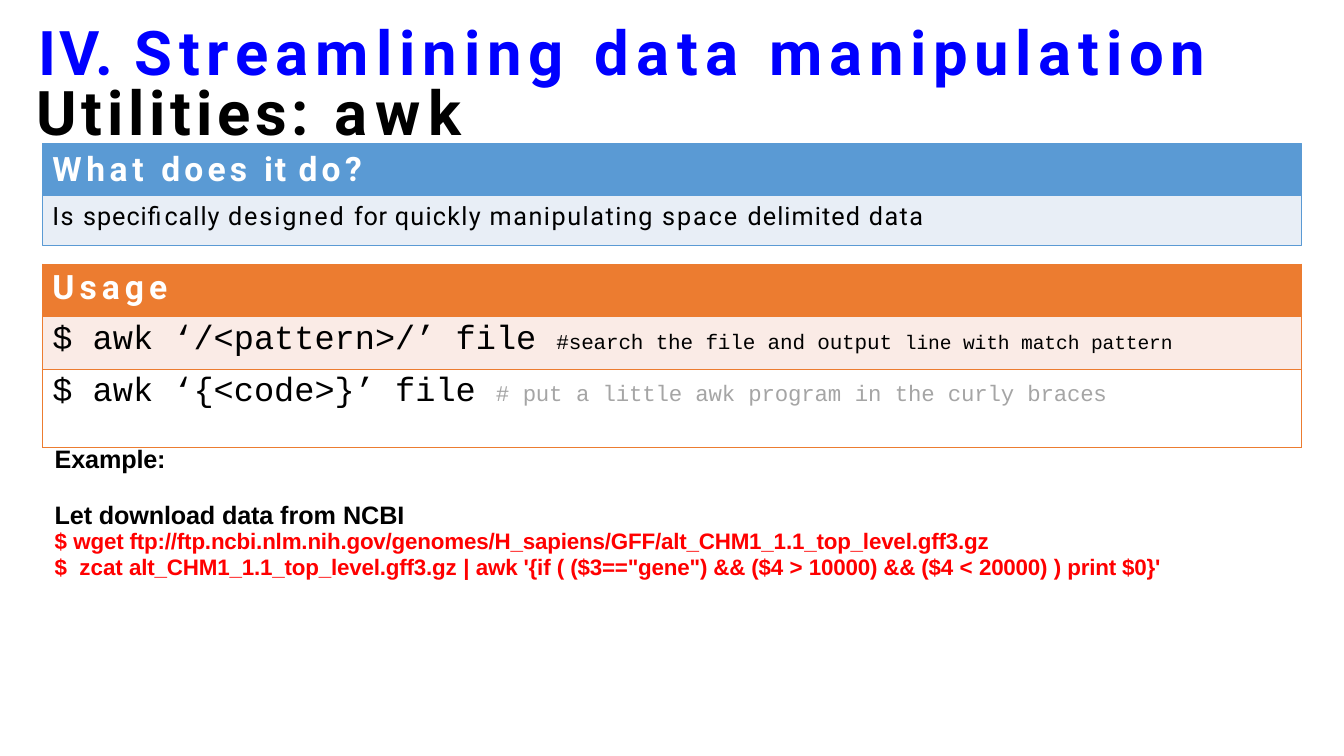
from lxml import etree
from pptx import Presentation
from pptx import util as u
from pptx.dml.color import RGBColor
from pptx.enum import shapes, text
from pptx.oxml import ns

COLORS = {
    "title": "0000FF", "text": "000000", "white": "FFFFFF", "blue": "5A9AD4",
    "pale_blue": "E8EEF6", "orange": "EC7C30", "pale_orange": "FAEBE6",
    "gray": "A5A5A5", "command": "FF0000",
}


def color(name):
    return RGBColor.from_string(COLORS[name])


def write(paragraph, runs, size, font, ink, bold=False, indent=0.03, before=0):
    paragraph.alignment = text.PP_ALIGN.LEFT
    paragraph.space_before = u.Pt(before)
    properties = paragraph._p.get_or_add_pPr()
    properties.set("marL", str(u.Cm(indent)))
    properties.set("indent", "0")
    for words, spacing, *own_style in runs:
        run_size, run_ink = own_style or (size, ink)
        run = paragraph.add_run()
        run.text = words
        run.font.size = u.Pt(run_size)
        run.font.name = font
        run.font.bold = bold
        run.font.color.rgb = color(run_ink)
        run._r.get_or_add_rPr().set("spc", str(round(spacing * 100)))


presentation = Presentation()
presentation.slide_width = u.Cm(33.87)
presentation.slide_height = u.Cm(19.05)
slide = presentation.slides.add_slide(presentation.slide_layouts[6])

LEFT, WIDTH = 1.07, 31.73

headings = [
    (0.89, 1.83, 11.58, "text", [("Utilities: ", 3.4), ("awk", 5.8)]),
    (0.94, 0.33, 30.61, "title", [("IV. ", 1.9), ("Streamlining ", 5), ("data ", 5.5), ("manipulation", 4.8)]),
]
purpose_bands = [
    (3.61, 1.33, "blue", 24, "white", True,
     [("What ", 3.3), ("does ", 3), ("it ", 1.4), ("do?", 3.1)]),
    (4.94, 1.25, "pale_blue", 18, "text", False,
     [("Is ", 1.1), ("specifically ", 0.7), ("designed ", 1.4), ("for ", 0.5), ("quickly ", 0.9),
      ("manipulating ", 1.1), ("space ", 1.4), ("delimited ", 0.8), ("data", 1.1)]),
]
usage_rows = [
    (1.32, "orange", "Roboto", "white", True, [("Usage", 3.6)]),
    (1.33, "pale_orange", "Courier New", "text", False,
     [("$ awk ‘/<pattern>/’ file ", 0), ("#search the file and output ", -0.1, 15, "text"),
      ("line with match pattern", -0.1, 14, "text")]),
    (1.98, None, "Courier New", "text", False,
     [("$ awk ‘{<code>}’ file ", 0),
      ("# ", 0, 16, "gray"), ("put", -0.1, 16, "gray"), (" a", 0, 16, "gray"),
      (" little awk program", -0.1, 16, "gray"), (" in", 0, 16, "gray"),
      (" the curly braces", -0.1, 16, "gray")]),
]
example_lines = [
    (None, 1, 18, "text", [("Example:", -0.1)]),
    (21, 19, 18, "text", [("Let download data ", -0.1), ("from ", 0), ("NCBI", -0.1)]),
    (18, 0, 16, "command",
     [("$ ", 0), ("wget ftp://ftp.ncbi.nlm.nih.gov/genomes/H_sapiens/GFF/alt_CHM1_1.1_top_level.gff3.gz", -0.1)]),
    (18.6, 0, 16, "command",
     [("$", 0), (" ", 4.4), ("zcat ", 0), ("alt_CHM1_1.1_top_level.gff3.gz ", -0.1), ("| ", 0),
      ("awk '{if ", -0.1), ("(", 0), (" ($3==\"gene\") && ($4 ", -0.1), ("> ", 0),
      ("10000) && ($4", -0.1), (" < ", 0), ("20000) ", -0.1), (")", 0), (" print $0}'", -0.1)]),
]

for top, height, fill, size, ink, bold, runs in purpose_bands:
    band = slide.shapes.add_shape(shapes.MSO_SHAPE.RECTANGLE, u.Cm(LEFT), u.Cm(top), u.Cm(WIDTH), u.Cm(height))
    band.shadow.inherit = False
    band.fill.solid()
    band.fill.fore_color.rgb = color(fill)
    band.line.fill.background()
    frame = band.text_frame
    frame.word_wrap = True
    frame.vertical_anchor = text.MSO_ANCHOR.TOP
    frame.margin_left = frame.margin_right = frame.margin_bottom = 0
    frame.margin_top = u.Cm(0.12)
    write(frame.paragraphs[0], runs, size, "Roboto", ink, bold, indent=0.25, before=3.5)

border = slide.shapes.add_shape(shapes.MSO_SHAPE.RECTANGLE, u.Cm(LEFT), u.Cm(3.62), u.Cm(WIDTH), u.Cm(2.56))
border.shadow.inherit = False
border.fill.background()
border.line.color.rgb = color("blue")
border.line.width = u.Pt(0.5)

table = slide.shapes.add_table(3, 1, u.Cm(LEFT), u.Cm(6.65), u.Cm(WIDTH), u.Cm(4.63)).table
table.first_row = table.horz_banding = False
table.columns[0].width = u.Cm(WIDTH)
for index, (height, fill, font, ink, bold, runs) in enumerate(usage_rows):
    table.rows[index].height = u.Cm(height)
    cell = table.cell(index, 0)
    cell.margin_left = cell.margin_right = cell.margin_bottom = 0
    cell.margin_top = u.Cm(0.12)
    write(cell.text_frame.paragraphs[0], runs, 24, font, ink, bold, indent=0.25, before=3.4)
    properties = cell._tc.get_or_add_tcPr()
    for side in ("lnL", "lnR", "lnT", "lnB"):
        line = etree.SubElement(properties, ns.qn("a:" + side), w=str(u.Pt(0.5)))
        line_fill = etree.SubElement(line, ns.qn("a:solidFill"))
        etree.SubElement(line_fill, ns.qn("a:srgbClr"), val=COLORS["orange"])
    if fill:
        cell.fill.solid()
        cell.fill.fore_color.rgb = color(fill)
    else:
        cell.fill.background()

text_boxes = [(left, top, width, 1.93, [(None, 1, 44, ink, runs)], "Roboto")
              for left, top, width, ink, runs in headings]
text_boxes.append((1.35, 11.13, 28.27, 3.53, example_lines, "Arial"))
for left, top, width, height, lines, font in text_boxes:
    frame = slide.shapes.add_textbox(u.Cm(left), u.Cm(top), u.Cm(width), u.Cm(height)).text_frame
    frame.word_wrap = True
    frame.margin_left = frame.margin_right = frame.margin_bottom = 0
    frame.margin_top = u.Cm(0.03)
    for index, (spacing, before, size, ink, runs) in enumerate(lines):
        paragraph = frame.add_paragraph() if index else frame.paragraphs[0]
        write(paragraph, runs, size, font, ink, bold=True, before=before)
        if spacing:
            paragraph.line_spacing = u.Pt(spacing)

presentation.save("out.pptx")
